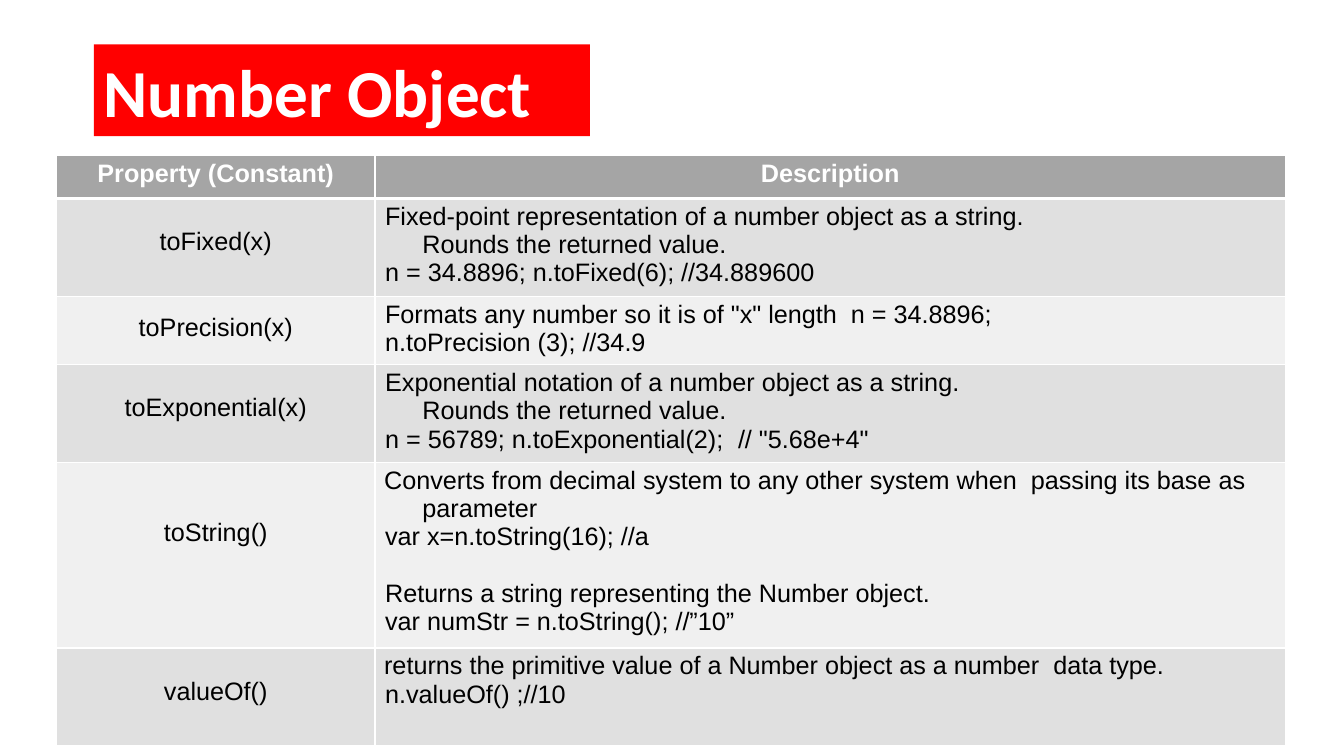
from pptx import Presentation
from pptx.dml.color import RGBColor
from pptx.enum.shapes import MSO_SHAPE
from pptx.enum.text import MSO_ANCHOR, PP_ALIGN
from pptx.oxml import parse_xml
from pptx.oxml.ns import nsdecls
from pptx.util import Inches, Pt

RECTANGLE = MSO_SHAPE.RECTANGLE
TOP, MIDDLE = MSO_ANCHOR.TOP, MSO_ANCHOR.MIDDLE
LEFT, CENTER = PP_ALIGN.LEFT, PP_ALIGN.CENTER

WHITE, BLACK, RED = "FFFFFF", "000000", "FF0000"
HEADER_GRAY, BANDS = "A5A5A5", ("E0E0E0", "F0F0F0")
PLAIN, NESTED, HANGING = (0.1, 0), (0.47, 0), (0.47, -0.38)
BODY_SIZE, LINE_HEIGHT = 18, 20.3

COLUMN_WIDTHS = (3.16, 9.03)
HEADINGS = ("Property (Constant)", "Description")
HEADER_HEIGHT = 0.43

# (method, row height, method inset, right inset, lines of (text, indent, space before))
METHODS = (
    ("toFixed(x)", 0.97, 0.29, 0, (
        ("Fixed-point representation of a number object as a string.", PLAIN, 0),
        ("Rounds the returned value.", NESTED, 0),
        ("n = 34.8896; n.toFixed(6); //34.889600", PLAIN, 0))),
    ("toPrecision(x)", 0.68, 0.17, 2, (
        ('Formats any number so it is of "x" length  n = 34.8896; n.toPrecision (3); //34.9', PLAIN, 0),)),
    ("toExponential(x)", 0.97, 0.29, 0, (
        ("Exponential notation of a number object as a string.", PLAIN, 0),
        ("Rounds the returned value.", NESTED, 0),
        ('n = 56789; n.toExponential(2);\t// "5.68e+4"', PLAIN, 0))),
    ("toString()", 1.84, 0.56, 0, (
        ("Converts from decimal system to any other system when  passing its base as parameter", HANGING, 0),
        ("var x=n.toString(16); //a", PLAIN, 0),
        ("Returns a string representing the Number object.", PLAIN, LINE_HEIGHT),
        ("var numStr = n.toString(); //”10”", PLAIN, 0))),
    ("valueOf()", 0.97, 0.29, 0, (
        ("returns the primitive value of a Number object as a number  data type.", HANGING, 0),
        ("n.valueOf() ;//10", PLAIN, 0))),
)


def rgb(hex_color):
    return RGBColor.from_string(hex_color)


def write(paragraph, text, font, size, color, bold=False, align=LEFT):
    paragraph.text = text
    paragraph.alignment = align
    paragraph.font.name = font
    paragraph.font.size = Pt(size)
    paragraph.font.bold = bold
    paragraph.font.color.rgb = rgb(color)


def add_title(slide, left, top, width, height):
    banner = slide.shapes.add_shape(
        RECTANGLE, Inches(left), Inches(top), Inches(width), Inches(height))
    banner.shadow.inherit = False
    banner.fill.solid()
    banner.fill.fore_color.rgb = rgb(RED)
    banner.line.fill.background()
    banner.text_frame.word_wrap = True
    banner.text_frame.vertical_anchor = MIDDLE
    write(banner.text_frame.paragraphs[0], "Number Object", "Calibri", 48, WHITE, True)


def style_cell(cell, fill, inset, right=0, bottom_line=1, top_line=1):
    cell.margin_left = cell.margin_bottom = 0
    cell.margin_top, cell.margin_right = Inches(inset), Inches(right)
    cell.vertical_anchor = TOP
    properties = cell._tc.get_or_add_tcPr()
    for side, points in (("L", 1), ("R", 1), ("T", top_line), ("B", bottom_line)):
        properties.append(parse_xml(
            f'<a:ln{side} {nsdecls("a")} w="{Pt(points)}"><a:solidFill>'
            f'<a:srgbClr val="{WHITE}"/></a:solidFill></a:ln{side}>'))
    cell.fill.solid()
    cell.fill.fore_color.rgb = rgb(fill)


def write_description(cell, lines):
    frame = cell.text_frame
    for number, (text, (margin, indent), space) in enumerate(lines):
        paragraph = frame.add_paragraph() if number else frame.paragraphs[0]
        properties = paragraph._p.get_or_add_pPr()
        properties.set("marL", str(Inches(margin)))
        properties.set("indent", str(Inches(indent)))
        write(paragraph, text, "Arial", BODY_SIZE, BLACK)
        if space:
            paragraph.space_before = Pt(space)


def add_methods_table(slide, left, top):
    heights = [HEADER_HEIGHT] + [method[1] for method in METHODS]
    table = slide.shapes.add_table(
        len(heights), len(COLUMN_WIDTHS), Inches(left), Inches(top),
        Inches(sum(COLUMN_WIDTHS)), Inches(sum(heights))).table
    table.first_row = table.horz_banding = False
    for column, width in zip(table.columns, COLUMN_WIDTHS):
        column.width = Inches(width)
    for row, height in zip(table.rows, heights):
        row.height = Inches(height)

    for column, heading in enumerate(HEADINGS):
        cell = table.cell(0, column)
        style_cell(cell, HEADER_GRAY, 0.04, bottom_line=3)
        write(cell.text_frame.paragraphs[0], heading, "Arial", BODY_SIZE, WHITE, True, CENTER)

    for row, (name, _, inset, right, lines) in enumerate(METHODS, 1):
        method, description = table.cell(row, 0), table.cell(row, 1)
        band = BANDS[(row - 1) % 2]
        top_line = 3 if row == 1 else 1
        style_cell(method, band, inset, top_line=top_line)
        style_cell(description, band, 0.04, right, top_line=top_line)
        write(method.text_frame.paragraphs[0], name, "Arial", BODY_SIZE, BLACK, align=CENTER)
        write_description(description, lines)


def main():
    deck = Presentation()
    deck.slide_width, deck.slide_height = Inches(13.33), Inches(7.5)
    slide = deck.slides.add_slide(deck.slide_layouts[6])
    add_title(slide, 0.93, 0.44, 4.92, 0.91)
    add_methods_table(slide, 0.56, 1.54)
    deck.save("out.pptx")


if __name__ == "__main__":
    main()
